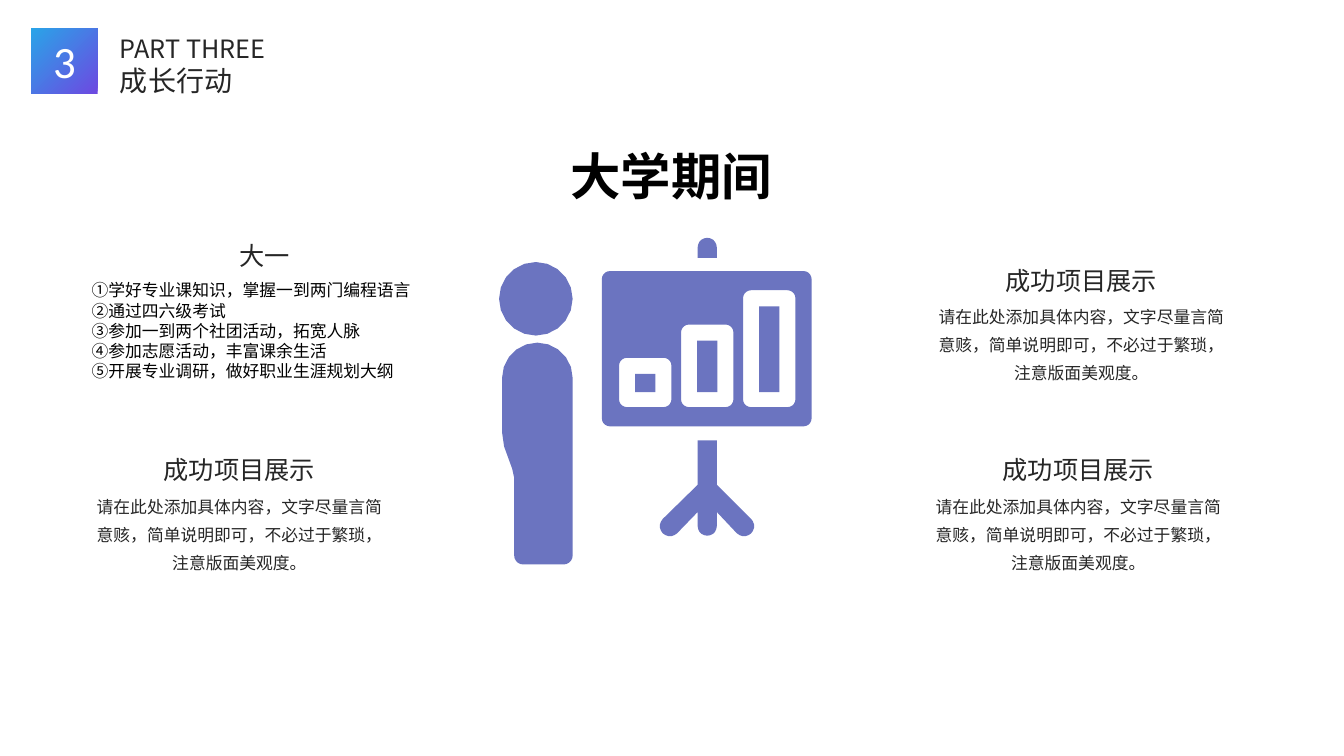
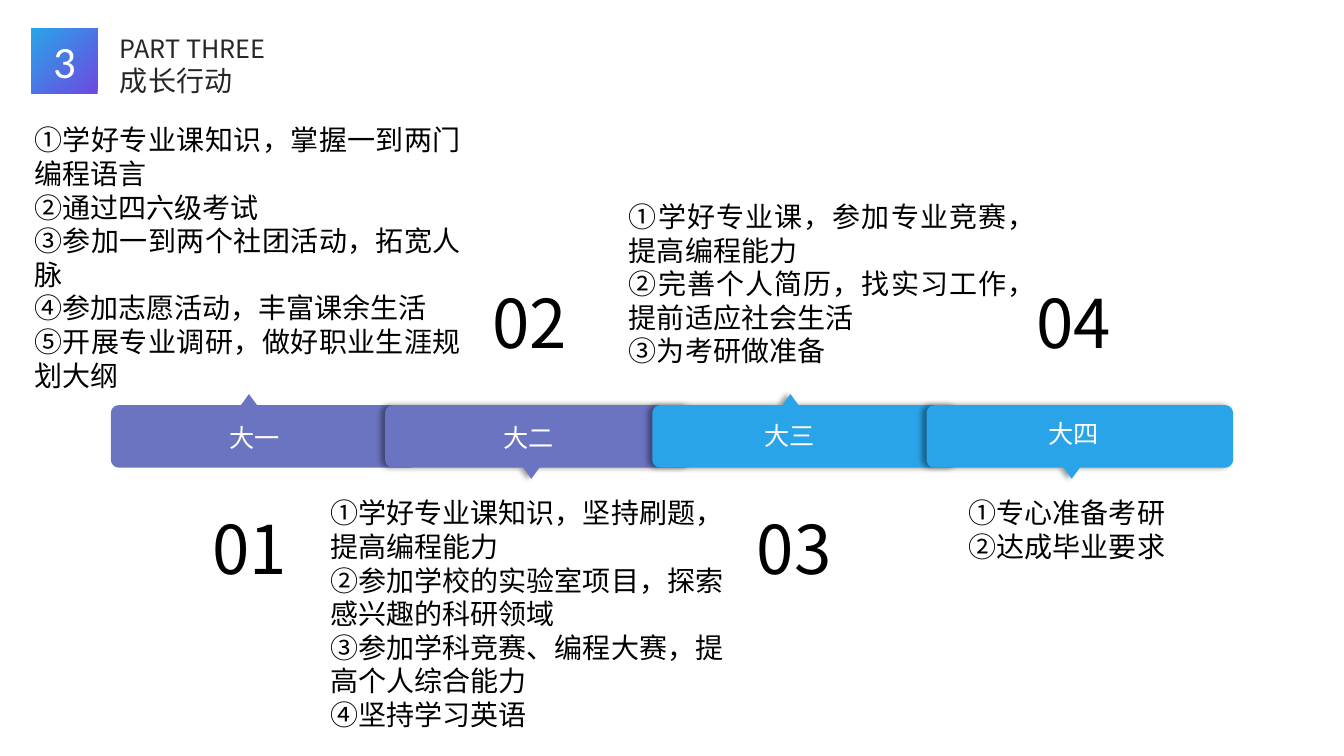
"""Build two slides on growth during the university years."""
from math import cos, radians, sin

from lxml import etree
from pptx import Presentation
from pptx.dml.color import RGBColor
from pptx.enum.shapes import MSO_CONNECTOR, MSO_SHAPE
from pptx.enum.text import MSO_ANCHOR, MSO_AUTO_SIZE, PP_ALIGN
from pptx.oxml.ns import qn
from pptx.util import Inches, Pt

BLACK = RGBColor(0x00, 0x00, 0x00)
WHITE = RGBColor(0xFF, 0xFF, 0xFF)
DARK = RGBColor(0x26, 0x26, 0x26)
PURPLE = RGBColor(0x6B, 0x74, 0xC0)
VIOLET = RGBColor(0x6D, 0x49, 0xE1)
BLUE = RGBColor(0x2A, 0xA4, 0xE8)
TEAL = RGBColor(0x65, 0xC4, 0xC3)
FONT = "Noto Sans CJK SC"
LEFT, CENTER, JUSTIFY = PP_ALIGN.LEFT, PP_ALIGN.CENTER, PP_ALIGN.JUSTIFY
TOP_ANCHOR, MIDDLE = MSO_ANCHOR.TOP, MSO_ANCHOR.MIDDLE
RECT, STRAIGHT = MSO_SHAPE.RECTANGLE, MSO_CONNECTOR.STRAIGHT
UNITS = 1000


def write(s, text, box, size, color=BLACK, align=LEFT, font=FONT, bold=False,
          wrap=True, spacing=None, anchor=TOP_ANCHOR, fill=None, sp=None):
    """Write text into a given shape, a filled rectangle or a new text box."""
    box = [Inches(v) for v in box]
    if fill is not None:
        sp = s.shapes.add_shape(RECT, *box)
        sp.shadow.inherit = False
        sp.fill.solid()
        sp.fill.fore_color.rgb = fill
        sp.line.fill.background()
    elif sp is None:
        sp = s.shapes.add_textbox(*box)
    sp.left, sp.top, sp.width, sp.height = box
    tf = sp.text_frame
    tf.auto_size = MSO_AUTO_SIZE.NONE
    tf.word_wrap = wrap
    tf.vertical_anchor = anchor
    for i, line in enumerate(text.split("\n")):
        p = tf.add_paragraph() if i else tf.paragraphs[0]
        p.alignment = align
        p.line_spacing = Pt(spacing or round(size * 1.2, 1))
        r = p.add_run()
        r.text = line
        r.font.size = Pt(size)
        r.font.bold = bold
        r.font.color.rgb = color
        r.font.name = font
        etree.SubElement(r.font._element, qn("a:ea"), typeface=font)


def outline(s, contours, color):
    """Draw one shape whose contours hold points (x, y) and arcs (x, y, radius, start, end)."""
    fb = s.shapes.build_freeform(scale=Inches(1) / UNITS)
    for contour in contours:
        pts = []
        for x, y, *arc in contour:
            radius, start, end = arc or (0, 0, 0)
            steps = round((end - start) / 18)
            angles = [radians(start + 18 * i) for i in range(steps + 1)]
            pts += [(round((x + radius * cos(a)) * UNITS), round((y + radius * sin(a)) * UNITS))
                    for a in angles]
        if contour is contours[0]:
            fb = s.shapes.build_freeform(*pts[0], scale=Inches(1) / UNITS)
        else:
            fb.move_to(*pts[0])
        fb.add_line_segments(pts[1:], close=True)
    sp = fb.convert_to_shape()
    sp.shadow.inherit = False
    sp.fill.solid()
    sp.fill.fore_color.rgb = color
    sp.line.fill.background()
    return sp


prs = Presentation()
prs.slide_width, prs.slide_height = Inches(13.33), Inches(7.5)
s1, s2 = [prs.slides.add_slide(prs.slide_layouts[5]) for _ in range(2)]

for s in (s1, s2):
    badge = (0.31, 0.28, 0.66, 0.65)
    sp = s.shapes.add_shape(RECT, *[Inches(v) for v in badge])
    sp.shadow.inherit = False
    sp.line.fill.background()
    sp.fill.gradient()
    sp.fill.gradient_angle = 135
    for stop, color in zip(sp.fill.gradient_stops, (VIOLET, BLUE)):
        stop.color.rgb = color
    write(s, "3", badge, 32, WHITE, CENTER, font="Calibri", anchor=MIDDLE, sp=sp)
    corner = (Inches(0.97), Inches(0.28))
    rule = s.shapes.add_connector(STRAIGHT, *corner, *corner)
    rule.line.color.rgb = TEAL
    rule.line.width = Pt(0.5)
    etree.SubElement(rule._element.spPr, qn("a:effectLst"))
    write(s, "PART THREE", (1.09, 0.28, 1.72, 0.4), 18, DARK)
    write(s, "成长行动", (1.09, 0.58, 2.34, 0.44), 20, DARK, sp=s.shapes.title)

FIRST_YEAR = """①学好专业课知识，掌握一到两门编程语言
②通过四六级考试
③参加一到两个社团活动，拓宽人脉
④参加志愿活动，丰富课余生活
⑤开展专业调研，做好职业生涯规划大纲"""
SAMPLE = "请在此处添加具体内容，文字尽量言简意赅，简单说明即可，不必过于繁琐，注意版面美观度。"

write(s1, "大一", (1.34, 2.3, 2.57, 0.48), 18, DARK, CENTER, spacing=23.8)
write(s1, FIRST_YEAR, (0.81, 2.73, 3.52, 1.77), 12, align=JUSTIFY)
for x, y in ((0.78, 4.43), (9.13, 2.55), (9.1, 4.43)):
    write(s1, "成功项目展示", (x + 0.43, y, 2.33, 0.43), 18, DARK, CENTER, spacing=23.8)
    write(s1, SAMPLE, (x, y + 0.37, 3.19, 0.94), 12, DARK, CENTER, spacing=20)

tripod = [(6.92, 4.37), (7.11, 4.37), (7.11, 4.81), (7.38, 5.22, 0.1, -45, 135),
          (7.11, 5.08), (7.015, 5.22, 0.095, 0, 180), (6.92, 5.08),
          (6.645, 5.22, 0.1, 45, 225), (6.92, 4.81)]
body = [(5.33, 3.75, 0.35, 180, 360), (5.59, 5.51, 0.09, 0, 90),
        (5.19, 5.51, 0.09, 90, 180), (5.1, 4.74), (5.08, 4.65), (5, 4.43), (4.98, 4.29)]
head = [(5.315, 2.965, 0.365, 0, 360)]
knob = [(7.015, 2.455, 0.095, 180, 360), (7.11, 2.56), (6.92, 2.56)]
presenter = [tripod, body, head, knob]
frames = [(5.97, 2.69, 8.05, 4.23)]
for i, top in enumerate((3.55, 3.22, 2.88)):
    x = 6.14 + 0.615 * i
    frames.append((x, top, x + 0.52, 4.04))
    presenter.append([(x + 0.16, top + 0.16), (x + 0.36, top + 0.16),
                      (x + 0.36, 3.89), (x + 0.16, 3.89)])
R = 0.08
for x1, y1, x2, y2 in frames:
    presenter.append([(x1 + R, y1 + R, R, 180, 270), (x2 - R, y1 + R, R, 270, 360),
                      (x2 - R, y2 - R, R, 0, 90), (x1 + R, y2 - R, R, 90, 180)])
outline(s1, presenter, PURPLE)
write(s1, "大学期间", (5.56, 1.39, 2.34, 0.71), 36, bold=True, align=JUSTIFY)

TOP, BOTTOM, BAR_W = 4.02, 4.64, 3.04
years = [
    ("大一", 1.1, 2.47, True, PURPLE, 2.17, 4.14, PURPLE),
    ("大二", 3.82, 5.27, False, PURPLE, 4.89, 4.14, None),
    ("大三", 6.47, 7.84, True, BLUE, 7.48, 4.12, BLUE),
    ("大四", 9.19, 10.63, False, BLUE, 10.29, 4.1, BLUE),
]
for i, (label, x, tip, up, color, label_x, label_y, label_fill) in enumerate(years):
    left, right = x + R, x + BAR_W - R
    above = [(tip - 0.08, TOP), (tip, TOP - 0.11), (tip + 0.08, TOP)]
    below = [(tip + 0.08, BOTTOM), (tip, BOTTOM + 0.11), (tip - 0.08, BOTTOM)]
    bar = [(left, TOP + R, R, 180, 270), *(above if up else []),
           (right, TOP + R, R, 270, 360), (right, BOTTOM - R, R, 0, 90),
           *([] if up else below), (left, BOTTOM - R, R, 90, 180)]
    sp = outline(s2, [bar], color)
    if i:
        effects = sp._element.spPr.find(qn("a:effectLst"))
        shadow = etree.SubElement(effects, qn("a:outerShdw"), blurRad=str(Pt(4)),
                                  dist=str(Pt(3)), dir="10800000", rotWithShape="0")
        tint = etree.SubElement(shadow, qn("a:srgbClr"), val="000000")
        etree.SubElement(tint, qn("a:alpha"), val="40000")
    write(s2, label, (label_x, label_y, 0.71, 0.4), 18, WHITE, CENTER, wrap=False,
          fill=label_fill)

for number, x, y in (("01", 2, 4.98), ("03", 7.4, 4.98), ("02", 4.78, 2.74), ("04", 10.17, 2.74)):
    write(s2, number, (x, y, 0.95, 0.91), 48, align=CENTER, wrap=False)

SECOND_YEAR = """①学好专业课知识，坚持刷题，提高编程能力
②参加学校的实验室项目，探索感兴趣的科研领域
③参加学科竞赛、编程大赛，提高个人综合能力
④坚持学习英语"""
THIRD_YEAR = """①学好专业课，参加专业竞赛，提高编程能力
②完善个人简历，找实习工作，提前适应社会生活
③为考研做准备"""
FOURTH_YEAR = """①专心准备考研
②达成毕业要求"""
for text, box, align in (
    (FIRST_YEAR, (0.24, 1.17, 4.43, 2.79), JUSTIFY),
    (SECOND_YEAR, (3.18, 4.87, 4.13, 2.46), LEFT),
    (FOURTH_YEAR, (9.51, 4.87, 2.5, 0.77), LEFT),
    (THIRD_YEAR, (6.14, 1.93, 4.23, 1.78), JUSTIFY),
):
    write(s2, text, box, 20, align=align)

prs.save("out.pptx")
